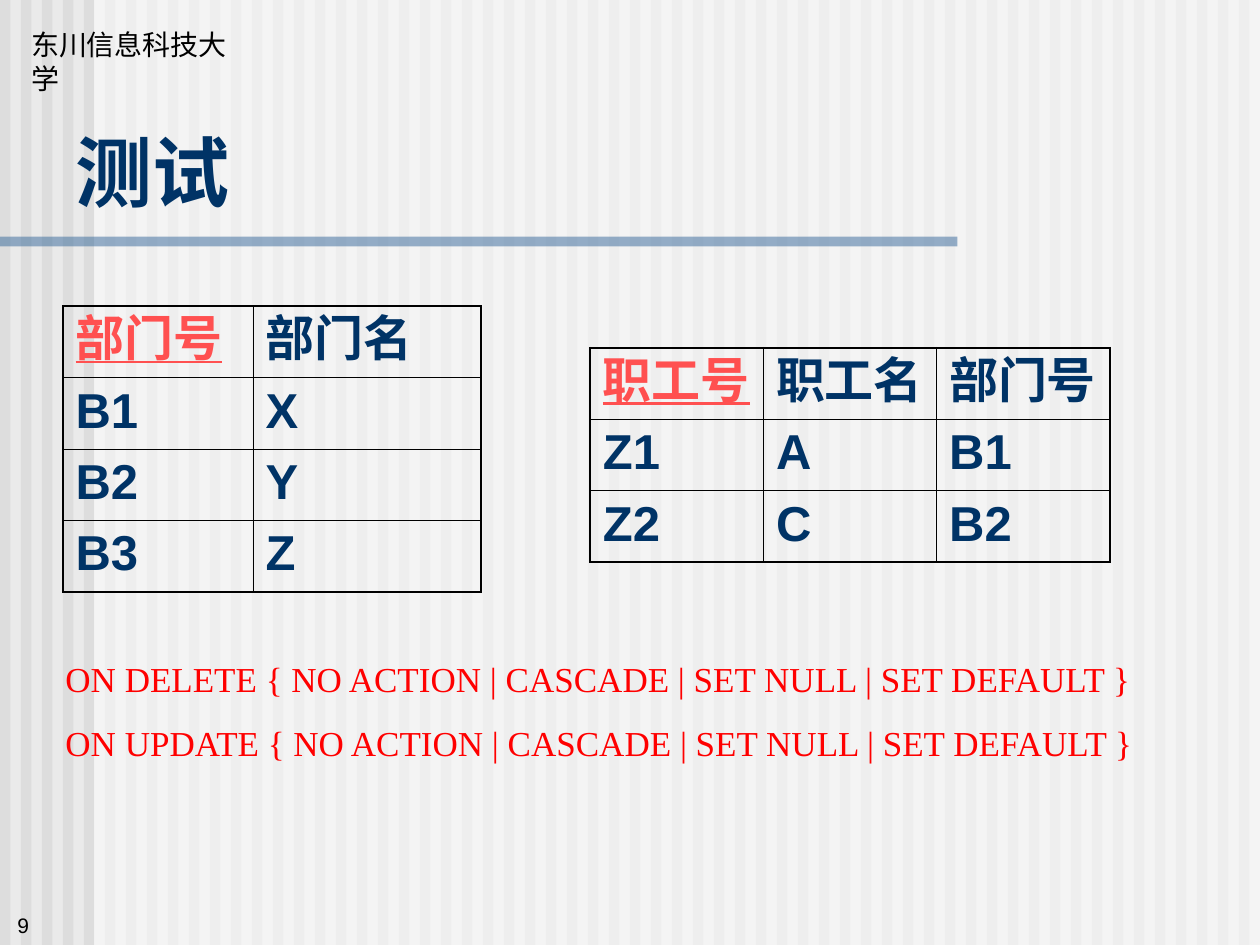
from lxml.etree import SubElement
from pptx import Presentation
from pptx.dml.color import RGBColor
from pptx.enum.shapes import MSO_SHAPE
from pptx.enum.text import MSO_ANCHOR, PP_ALIGN
from pptx.oxml import parse_xml
from pptx.oxml.ns import nsdecls, qn
from pptx.util import Cm, Pt

COLORS = {
    "background": "EAEAEA", "stripe": "DDDDDD", "veil": "FFFFFF",
    "rule": "336699", "navy": "003366", "key": "FF5050",
    "clause": "FF0000", "black": "000000",
}
WIDTH, HEIGHT = 25.4, 19.05
STRIPES = 60
OUTER, INNER = 1.08, 0.45

HEADER = {"size": Pt(16), "name": "Arial"}
NUMBER = {"size": Pt(12), "name": "Arial"}
TITLE = {"size": Pt(44), "name": "DejaVu Sans", "bold": True}
CELL = {"size": Pt(28), "name": "Arial", "bold": True, "underline": False}
KEY_CELL = {**CELL, "underline": True}
CLAUSE = {"size": Pt(20), "name": "Times New Roman"}

DEPARTMENTS = [["部门号", "部门名"], ["B1", "X"], ["B2", "Y"], ["B3", "Z"]]
EMPLOYEES = [["职工号", "职工名", "部门号"], ["Z1", "A", "B1"], ["Z2", "C", "B2"]]
CLAUSES = [
    "ON DELETE { NO ACTION | CASCADE | SET NULL | SET DEFAULT }",
    "ON UPDATE { NO ACTION | CASCADE | SET NULL | SET DEFAULT }",
]


def lengths(box):
    return [Cm(value) for value in box]


def rgb(color):
    return RGBColor.from_string(COLORS[color])


def write(paragraph, words, style, color, space=0):
    paragraph.alignment = PP_ALIGN.LEFT
    paragraph.space_before = Pt(space)
    run = paragraph.add_run()
    run.text = words
    for attribute, value in style.items():
        setattr(run.font, attribute, value)
    run.font.color.rgb = rgb(color)
    # East Asian characters take the same typeface
    SubElement(run.font._element, qn("a:ea"), typeface=style["name"])


def add_band(slide, box, color, opacity=None):
    band = slide.shapes.add_shape(MSO_SHAPE.RECTANGLE, *lengths(box))
    band.shadow.inherit = False
    band.line.fill.background()
    band.fill.solid()
    band.fill.fore_color.rgb = rgb(color)
    if opacity:
        tint = band.element.spPr.find(f"{qn('a:solidFill')}/{qn('a:srgbClr')}")
        SubElement(tint, qn("a:alpha"), val=str(opacity * 1000))


def add_backdrop(slide, box):
    left, top, width, height = box
    pitch = width / STRIPES
    for index in range(STRIPES):
        add_band(slide, (left + index * pitch, top, pitch / 2, height), "stripe")
    add_band(slide, (left + 1.9, top, width - 1.9, height), "veil", 50)
    add_band(slide, (left, top + 4.77, 19.3, 0.2), "rule", 50)


def add_words(slide, box, lines, style, color, space=0, wrap=True,
              anchor=MSO_ANCHOR.TOP):
    frame = slide.shapes.add_textbox(*lengths(box)).text_frame
    frame.word_wrap = wrap
    frame.vertical_anchor = anchor
    for index, line in enumerate(lines):
        paragraph = frame.add_paragraph() if index else frame.paragraphs[0]
        write(paragraph, line, style, color, space)


def place_title(slide, box, words):
    title = slide.shapes.title
    title.left, title.top, title.width, title.height = lengths(box)
    title.text_frame.vertical_anchor = MSO_ANCHOR.BOTTOM
    write(title.text_frame.paragraphs[0], words, TITLE, "navy")
    # Bring the title in front of the backdrop
    title.element.getparent().append(title.element)


def draw_borders(cell, outer_sides):
    properties = cell._tc.get_or_add_tcPr()
    for index, side in enumerate("LRTB"):
        weight = Pt(OUTER if side in outer_sides else INNER)
        properties.insert(index, parse_xml(
            f'<a:ln{side} {nsdecls("a")} w="{weight}"><a:solidFill>'
            f'<a:srgbClr val="{COLORS["black"]}"/></a:solidFill></a:ln{side}>'))


def add_relation(slide, box, rows, column_widths):
    last_row, last_column = len(rows) - 1, len(column_widths) - 1
    relation = slide.shapes.add_table(
        len(rows), len(column_widths), *lengths(box)).table
    relation.first_row = relation.horz_banding = False
    for column, width in zip(relation.columns, column_widths):
        column.width = Cm(width)
    for r, row in enumerate(rows):
        for c, words in enumerate(row):
            cell = relation.cell(r, c)
            cell.fill.background()
            edges = {"L": c == 0, "R": c == last_column,
                     "T": r == 0, "B": r == last_row}
            draw_borders(cell, [side for side, outer in edges.items() if outer])
            is_key = r == 0 and c == 0
            write(cell.text_frame.paragraphs[0], words,
                  KEY_CELL if is_key else CELL, "key" if is_key else "navy", 7)


def main():
    deck = Presentation()
    deck.slide_width, deck.slide_height = Cm(WIDTH), Cm(HEIGHT)
    slide = deck.slides.add_slide(deck.slide_layouts[5])
    slide.background.fill.solid()
    slide.background.fill.fore_color.rgb = rgb("background")

    # Backdrop, header and slide number
    add_backdrop(slide, (0, 0, WIDTH, HEIGHT))
    add_words(slide, (0.38, 0.43, 5, 0.94), ["东川信息科技大学"], HEADER, "black",
              wrap=False)
    add_words(slide, (0.1, 18.33, 5.92, 0.69), ["9"], NUMBER, "black",
              anchor=MSO_ANCHOR.BOTTOM)

    # Title, the two relations and the referential clauses
    place_title(slide, (1.27, 2.39, 22.68, 2.11), "测试")
    add_relation(slide, (1.27, 6.17, 8.43, 5.76), DEPARTMENTS, (3.83, 4.6))
    add_relation(slide, (11.9, 7.01, 10.47, 4.32), EMPLOYEES, (3.49,) * 3)
    add_words(slide, (1.07, 13.13, 23.29, 2.39), CLAUSES, CLAUSE, "clause", 12.5)

    deck.save("out.pptx")


if __name__ == "__main__":
    main()
